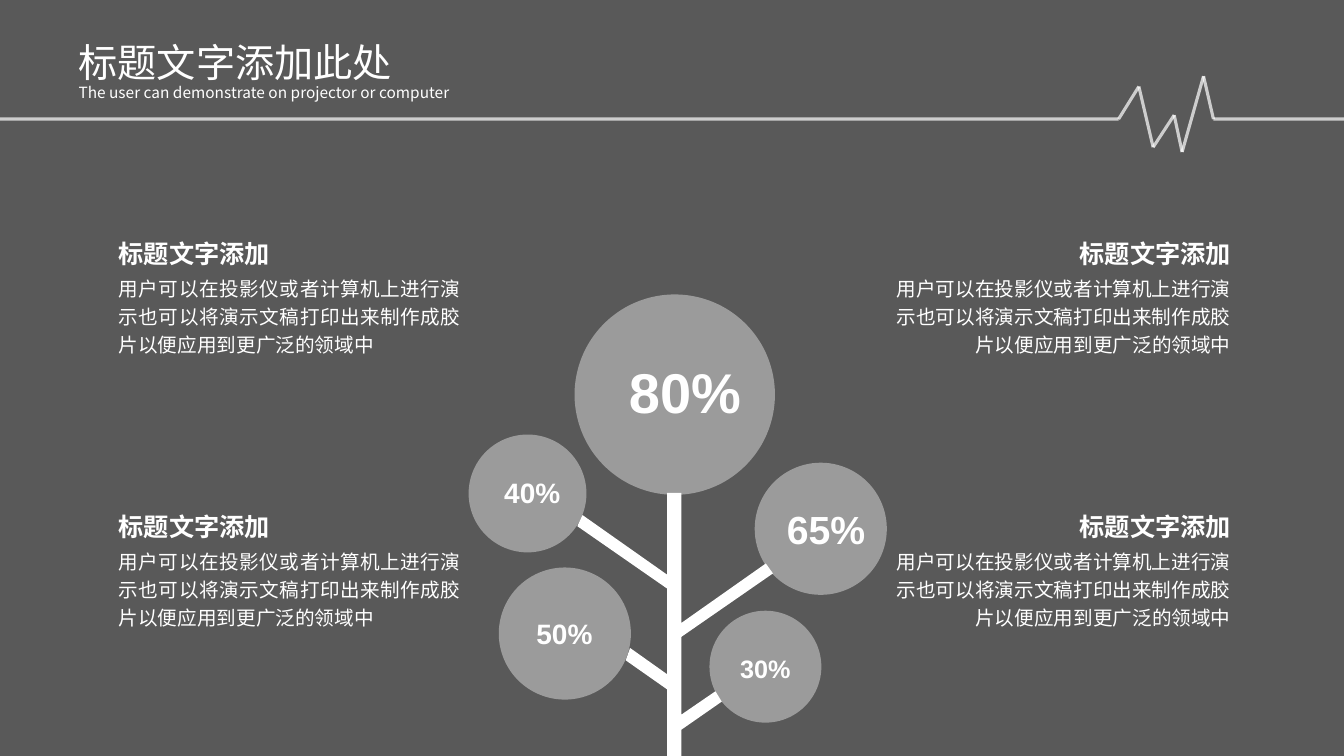
from itertools import pairwise, product

from lxml import etree
from pptx import Presentation
from pptx.dml.color import RGBColor
from pptx.enum.shapes import MSO_CONNECTOR as Link, MSO_SHAPE as Kind
from pptx.enum.text import MSO_ANCHOR as Anchor, MSO_AUTO_SIZE as Fit, PP_ALIGN as Align
from pptx.oxml.ns import qn
from pptx.util import Cm, Pt

WHITE = RGBColor(0xFF, 0xFF, 0xFF)
PALE = RGBColor(0xFE, 0xFE, 0xFE)
GREY = RGBColor(0x59, 0x59, 0x59)
SANS = "Arial"
CJK = "Noto Sans CJK SC"

HEAD = "标题文字添加"
BODY = "用户可以在投影仪或者计算机上进行演示也可以将演示文稿打印出来制作成胶片以便应用到更广泛的领域中"

# Circle left, top, size; label text, size, box
LEAVES = [
    (11.81, 10.95, 2.97, "40%", 20, (12.45, 11.86, 1.93, 1.12)),
    (12.57, 14.3, 3.33, "50%", 20, (13.26, 15.42, 1.93, 1.12)),
    (19.02, 11.66, 3.33, "65%", 28, (19.56, 12.62, 2.51, 1.45)),
    (17.88, 15.39, 2.82, "30%", 18, (18.39, 16.33, 1.8, 1.02)),
    (14.48, 7.42, 5.05, "80%", 40, (15.57, 8.89, 3.38, 1.96)),
]
EAST, WEST = 17.17, 16.81
TRUNK = [
    (EAST, 12.42), (EAST, 15.7), (19.3, 14.2), (19.48, 14.45), (EAST, 16.05),
    (EAST, 18.01), (18.03, 17.42), (18.19, 17.68), (EAST, 18.39), (EAST, 19.05),
    (WEST, 19.05), (WEST, 17.37), (15.77, 16.64), (15.88, 16.33), (WEST, 16.99),
    (WEST, 14.83), (14.55, 13.26), (14.68, 12.98), (WEST, 14.48), (WEST, 12.42),
]
PULSE = [
    (0, 3), (28.19, 3), (28.7, 2.18), (29.06, 3.71), (29.59, 2.9),
    (29.79, 3.83), (30.33, 1.92), (30.58, 3), (33.87, 3),
]


def fade(fill, part):
    """Set the opacity of a solid fill, in percent."""
    tone = fill._xPr.find(qn("a:solidFill"))[0]
    etree.SubElement(tone, qn("a:alpha")).set("val", str(part * 1000))


def write(shape, text, size, font=SANS, bold=False, align=Align.LEFT, space=None, wrap=True):
    frame = shape.text_frame
    frame.word_wrap = wrap
    frame.auto_size = Fit.NONE
    frame.vertical_anchor = Anchor.TOP
    para = frame.paragraphs[0]
    para.alignment = align
    para.space_before = Pt(0)
    para.line_spacing = space
    run = para.add_run()
    run.text = text
    run.font.name = font
    run.font.size = Pt(size)
    run.font.bold = bold
    run.font.color.rgb = WHITE
    etree.SubElement(run.font._element, qn("a:ea")).set("typeface", font)


def add_text(slide, box, text, size, **form):
    write(slide.shapes.add_textbox(*map(Cm, box)), text, size, **form)


def add_disc(slide, left, top, size):
    disc = slide.shapes.add_shape(Kind.OVAL, Cm(left), Cm(top), Cm(size), Cm(size))
    disc.shadow.inherit = False
    disc.fill.solid()
    disc.fill.fore_color.rgb = PALE
    fade(disc.fill, 40)
    disc.line.fill.background()


def add_trunk(slide):
    start, *rest = [(Cm(x), Cm(y)) for x, y in TRUNK]
    path = slide.shapes.build_freeform(*start)
    path.add_line_segments(rest, close=True)
    tree = path.convert_to_shape()
    tree.shadow.inherit = False
    tree.fill.solid()
    tree.fill.fore_color.rgb = WHITE
    tree.line.fill.background()


def add_line(slide, start, end):
    line = slide.shapes.add_connector(Link.STRAIGHT, *map(Cm, start + end))
    line.line.width = Pt(2.25)
    line.line.color.rgb = WHITE
    fade(line.line.fill, 70)
    etree.SubElement(line._element.spPr, qn("a:effectLst"))


def add_block(slide, left, top, right):
    """Place a heading over its text, both flush with the outer edge."""
    align = Align.RIGHT if right else Align.JUSTIFY
    inset = 2.9 if right else 0
    add_text(slide, (left, top + 0.99, 9.12, 2.41), BODY, 14, align=align, space=1.2)
    add_text(slide, (left + inset, top, 6.22, 1.12), HEAD, 18,
             bold=True, align=align, space=1.2)


def main():
    deck = Presentation()
    deck.slide_width, deck.slide_height = Cm(33.87), Cm(19.05)
    slide = deck.slides.add_slide(deck.slide_layouts[5])
    slide.background.fill.solid()
    slide.background.fill.fore_color.rgb = GREY

    # Tree
    *small, crown = LEAVES
    for leaf in small:
        add_disc(slide, *leaf[:3])
    add_trunk(slide)
    add_disc(slide, *crown[:3])
    for *_, text, size, box in LEAVES:
        add_text(slide, box, text, size, bold=True, align=Align.CENTER, wrap=False)

    # Pulse line
    for start, end in pairwise(PULSE):
        add_line(slide, start, end)

    # Title and subtitle
    title = slide.shapes.title
    title.left, title.top, title.width, title.height = map(Cm, (1.73, 0.84, 9.86, 1.45))
    write(title, "标题文字添加此处", 28, font=CJK)
    add_text(slide, (1.73, 1.91, 11.05, 0.76),
             "The user can demonstrate on projector or computer", 11, font=CJK, space=1.14)

    # Text blocks
    for (left, right), top in product([(2.74, False), (22.15, True)], (5.74, 12.62)):
        add_block(slide, left, top, right)

    deck.save("out.pptx")


if __name__ == "__main__":
    main()
